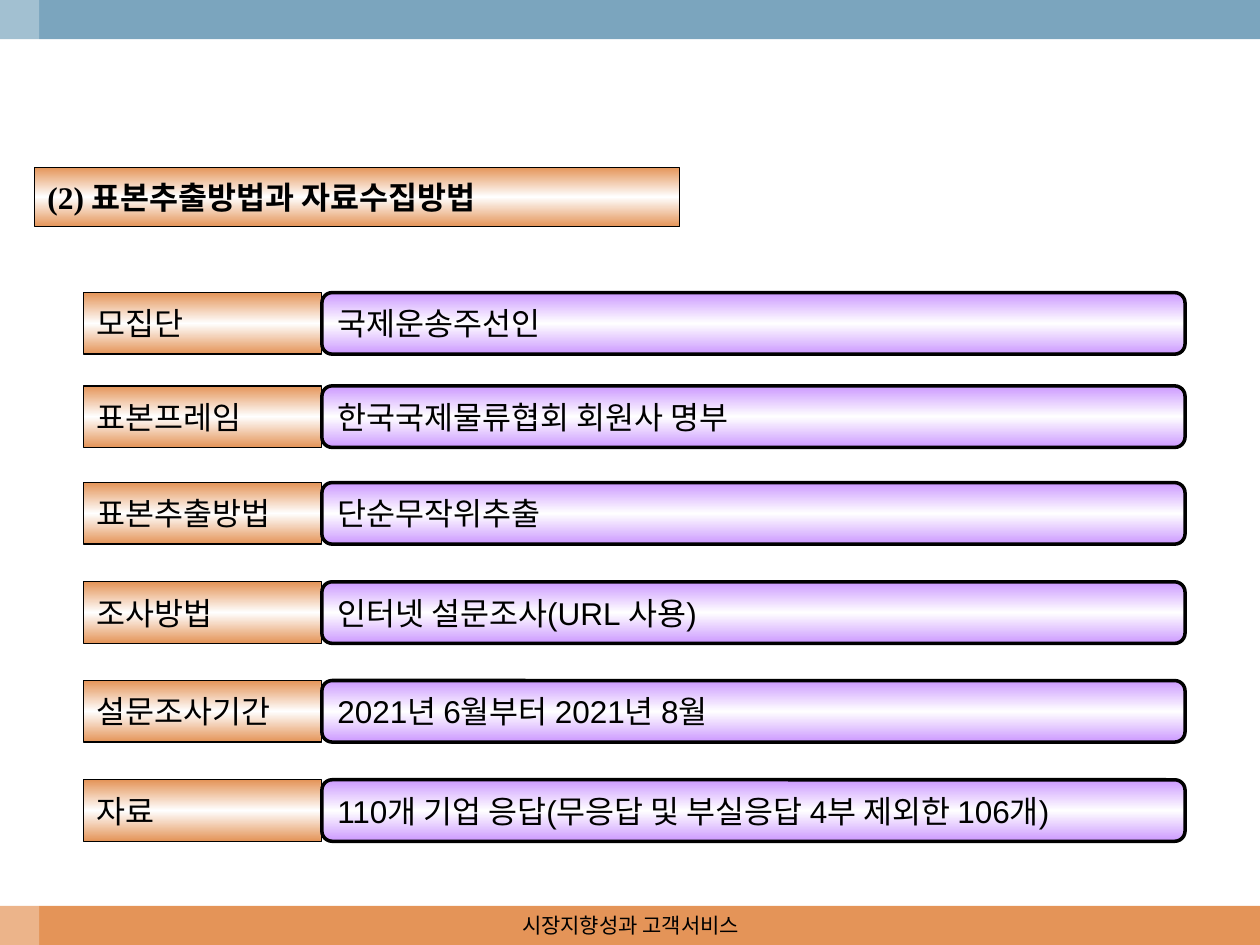
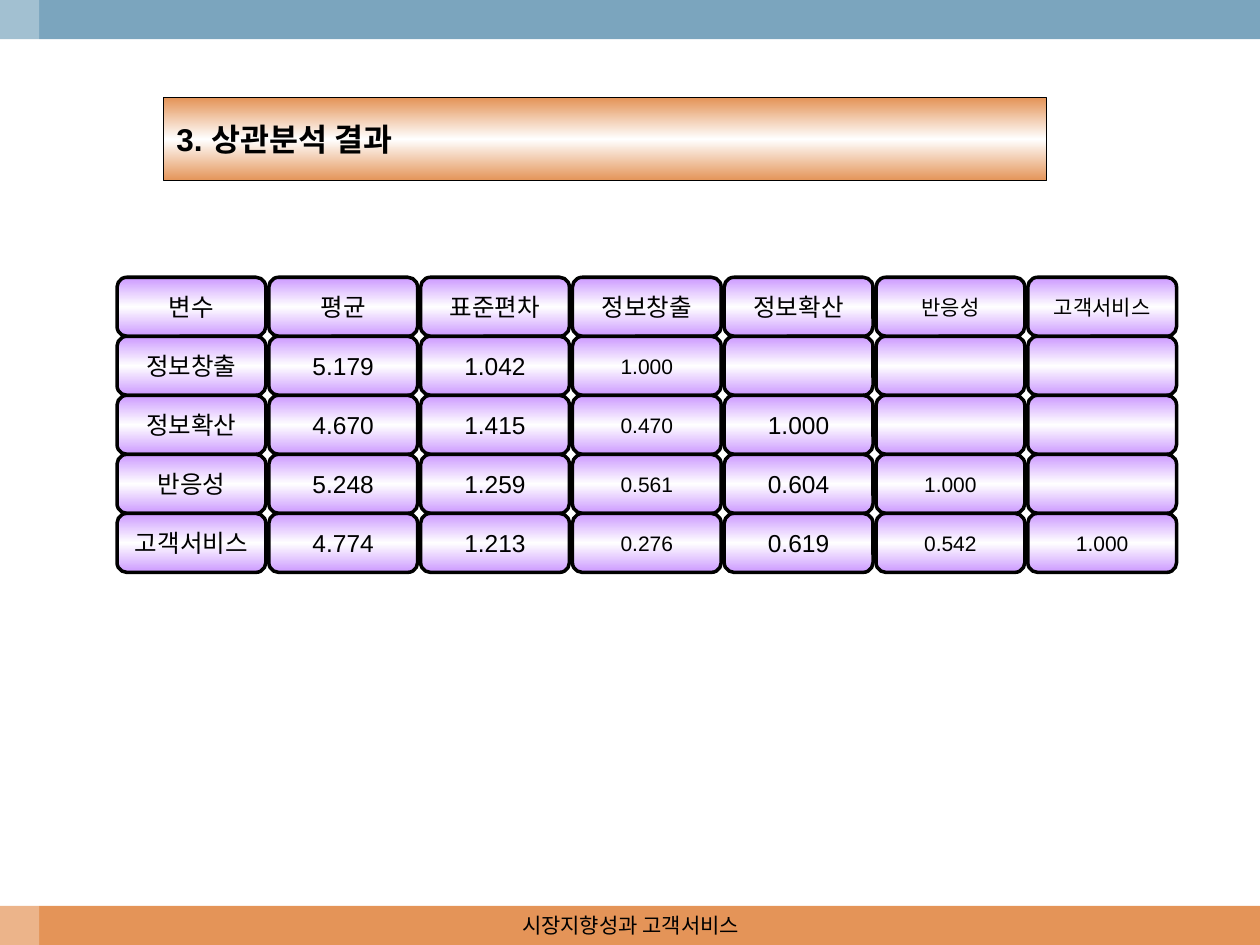
"""Build two slides on survey sampling and correlation results."""
from copy import deepcopy

from lxml.etree import SubElement
from pptx import Presentation
from pptx.dml.color import RGBColor
from pptx.enum.shapes import MSO_SHAPE as Preset
from pptx.enum.text import MSO_ANCHOR as Anchor, MSO_AUTO_SIZE as AutoSize, PP_ALIGN as Align
from pptx.oxml.ns import qn
from pptx.util import Cm, Pt

FOOTER = "시장지향성과 고객서비스"
SAMPLING_TITLE = "(2) 표본추출방법과 자료수집방법"
SAMPLING = [
    (5.9, "모집단", "국제운송주선인"),
    (7.78, "표본프레임", "한국국제물류협회 회원사 명부"),
    (9.73, "표본추출방법", "단순무작위추출"),
    (11.73, "조사방법", "인터넷 설문조사(URL 사용)"),
    (13.72, "설문조사기간", "2021년 6월부터 2021년 8월"),
    (15.72, "자료", "110개 기업 응답(무응답 및 부실응답 4부 제외한 106개)"),
]
CORRELATION_TITLE = "3. 상관분석 결과"
CORRELATION = [
    ("변수", "평균", "표준편차", "정보창출", "정보확산", "반응성", "고객서비스"),
    ("정보창출", "5.179", "1.042", "1.000", "", "", ""),
    ("정보확산", "4.670", "1.415", "0.470", "1.000", "", ""),
    ("반응성", "5.248", "1.259", "0.561", "0.604", "1.000", ""),
    ("고객서비스", "4.774", "1.213", "0.276", "0.619", "0.542", "1.000"),
]
HEADER_SIZES = (14, 14, 14, 14, 14, 12, 12)
BODY_SIZES = (14, 14, 14, 12, 14, 12, 12)

COLORS = {"orange": "E49458", "blue": "7BA5BE", "violet": "CC99FF",
          "white": "FFFFFF", "black": "000000"}
LABEL = {"preset": Preset.RECTANGLE, "color": "orange", "line": 0.75}
FIELD = {"preset": Preset.ROUNDED_RECTANGLE, "color": "violet", "line": 2}
SERIF, SANS, FOOTER_FONT = "Times New Roman", "Arial", "Cambria"
WIDTH, HEIGHT, BAND = 25.4, 19.05, 0.79


def rgb(name):
    return RGBColor.from_string(COLORS[name])


def write(shape, text, font, size, align=Align.LEFT, bold=False, wrap=False):
    frame = shape.text_frame
    frame.text = text
    frame_format = {"word_wrap": wrap, "auto_size": AutoSize.NONE,
                    "vertical_anchor": Anchor.MIDDLE}
    for name, value in frame_format.items():
        setattr(frame, name, value)
    paragraph = frame.paragraphs[0]
    paragraph.alignment = align
    for name, value in {"name": font, "size": Pt(size), "bold": bold}.items():
        setattr(paragraph.font, name, value)
    paragraph.font.color.rgb = rgb("black")


def paint(shape, style):
    shape.shadow.inherit = False
    shape.fill.gradient()
    shape.fill.gradient_angle = 90
    stops = next(shape.element.iter(qn("a:gsLst")))
    stops.append(deepcopy(stops[0]))
    shades = (style["color"], "white", style["color"])
    for stop, shade, position in zip(shape.fill.gradient_stops, shades, (0, 0.5, 1)):
        stop.color.rgb = rgb(shade)
        stop.position = position
    shape.line.color.rgb = rgb("black")
    shape.line.width = Pt(style["line"])


def add_box(slide, style, place, text, *text_format):
    box = slide.shapes.add_shape(style["preset"], *map(Cm, place))
    paint(box, style)
    if text:
        write(box, text, *text_format)


def add_bands(layout, slide):
    bands = [("orange", (0, HEIGHT - BAND, WIDTH, BAND)),
             ("blue", (0, 0, WIDTH, BAND)),
             ("white", (0, 0, BAND, HEIGHT))]
    for color, place in bands:
        band = slide.shapes.add_shape(Preset.RECTANGLE, *map(Cm, place))
        band.shadow.inherit = False
        band.fill.solid()
        band.fill.fore_color.rgb = rgb(color)
        band.line.fill.background()
        if color == "white":
            tint = next(band.element.spPr.iter(qn("a:srgbClr")))
            SubElement(tint, qn("a:alpha"), val="30000")
        layout.shapes.element.append(band.element)


def add_titled_slide(deck, title, place, font):
    slide = deck.slides.add_slide(deck.slide_layouts[5])
    heading = slide.shapes.title
    for name, length in zip(("left", "top", "width", "height"), place):
        setattr(heading, name, Cm(length))
    paint(heading, LABEL)
    write(heading, title, font, 18, Align.LEFT, True)
    footer = slide.shapes.add_textbox(Cm(8.69), Cm(HEIGHT - BAND), Cm(8.05), Cm(BAND))
    write(footer, FOOTER, FOOTER_FONT, 12, Align.CENTER, False, True)
    return slide


def add_sampling(slide):
    for top, label, detail in SAMPLING:
        add_box(slide, LABEL, (1.69, top, 4.8, 1.24), label, SERIF, 18)
        add_box(slide, FIELD, (6.49, top, 17.4, 1.24), detail, SANS, 18)


def add_correlation(slide):
    left, top, column_step, row_step = 2.36, 5.59, 3.06, 1.19
    for row, values in enumerate(CORRELATION):
        sizes = BODY_SIZES if row else HEADER_SIZES
        for column, (value, size) in enumerate(zip(values, sizes)):
            place = (left + column * column_step, top + row * row_step, 3, row_step)
            add_box(slide, FIELD, place, value, SANS, size, Align.CENTER)


def main():
    deck = Presentation()
    deck.slide_width, deck.slide_height = Cm(WIDTH), Cm(HEIGHT)
    sampling = add_titled_slide(deck, SAMPLING_TITLE, (0.7, 3.37, 13, 1.2), SERIF)
    add_bands(deck.slide_layouts[5], sampling)
    add_sampling(sampling)
    correlation = add_titled_slide(deck, CORRELATION_TITLE, (3.3, 1.97, 17.8, 1.67), SANS)
    add_correlation(correlation)
    deck.save("out.pptx")


if __name__ == "__main__":
    main()
